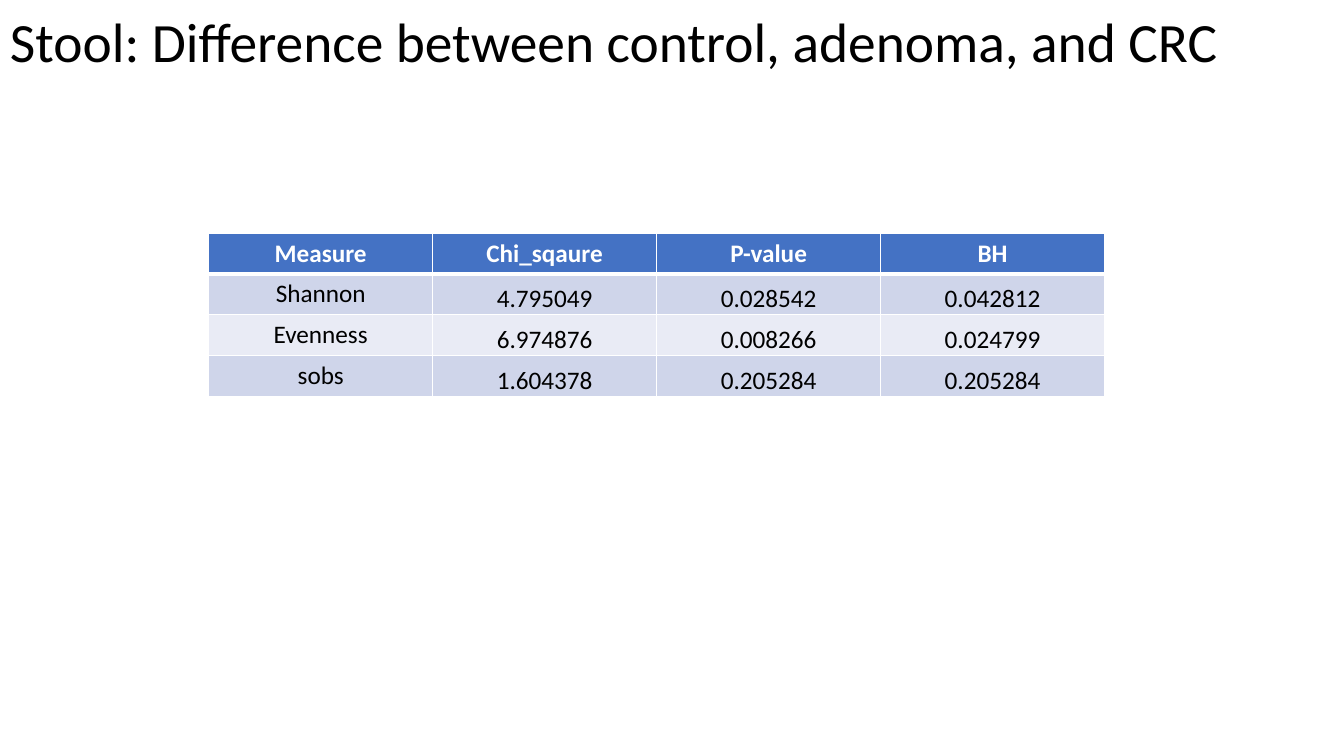
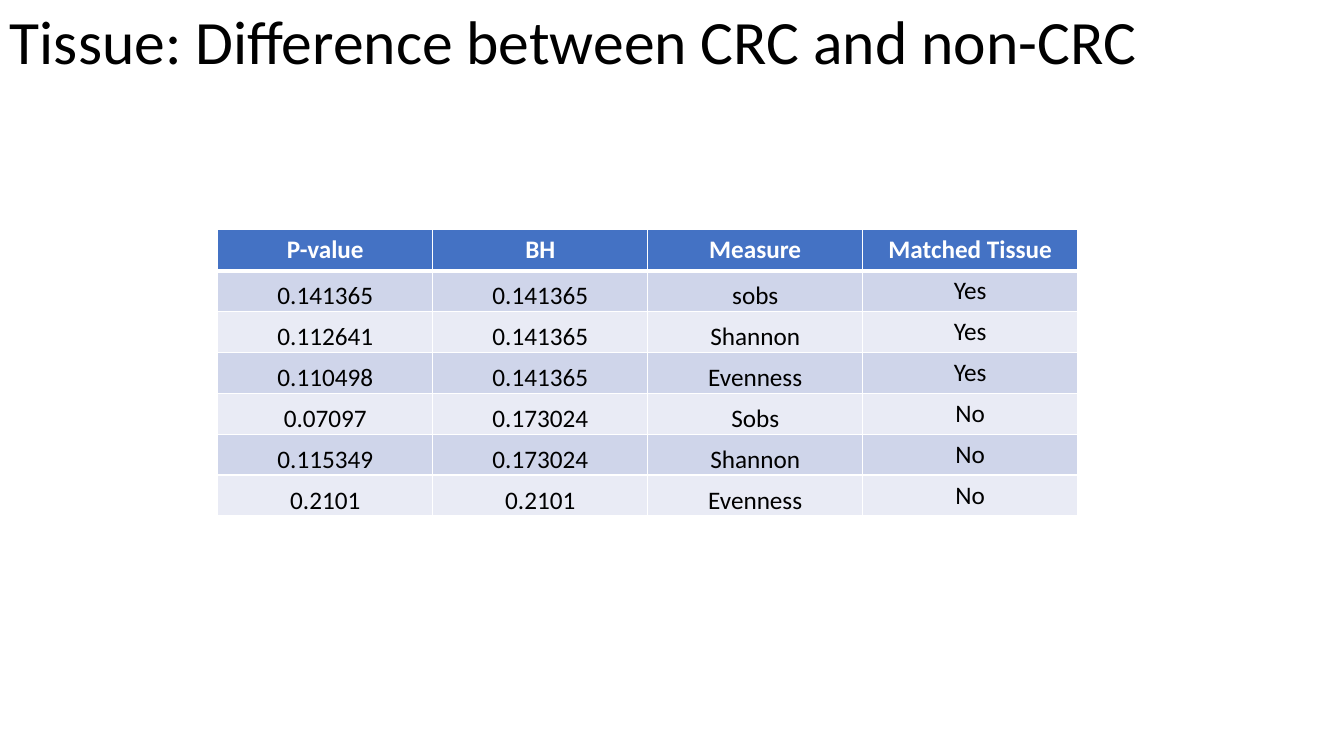
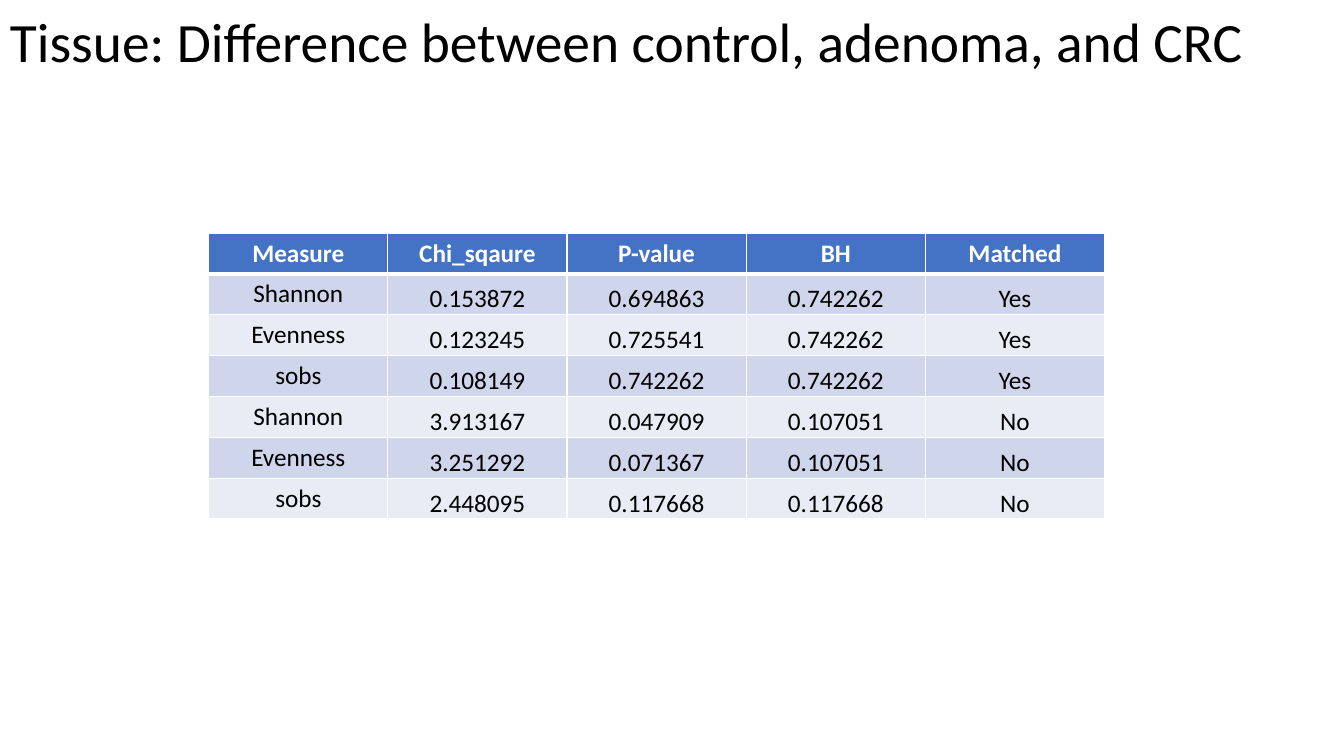
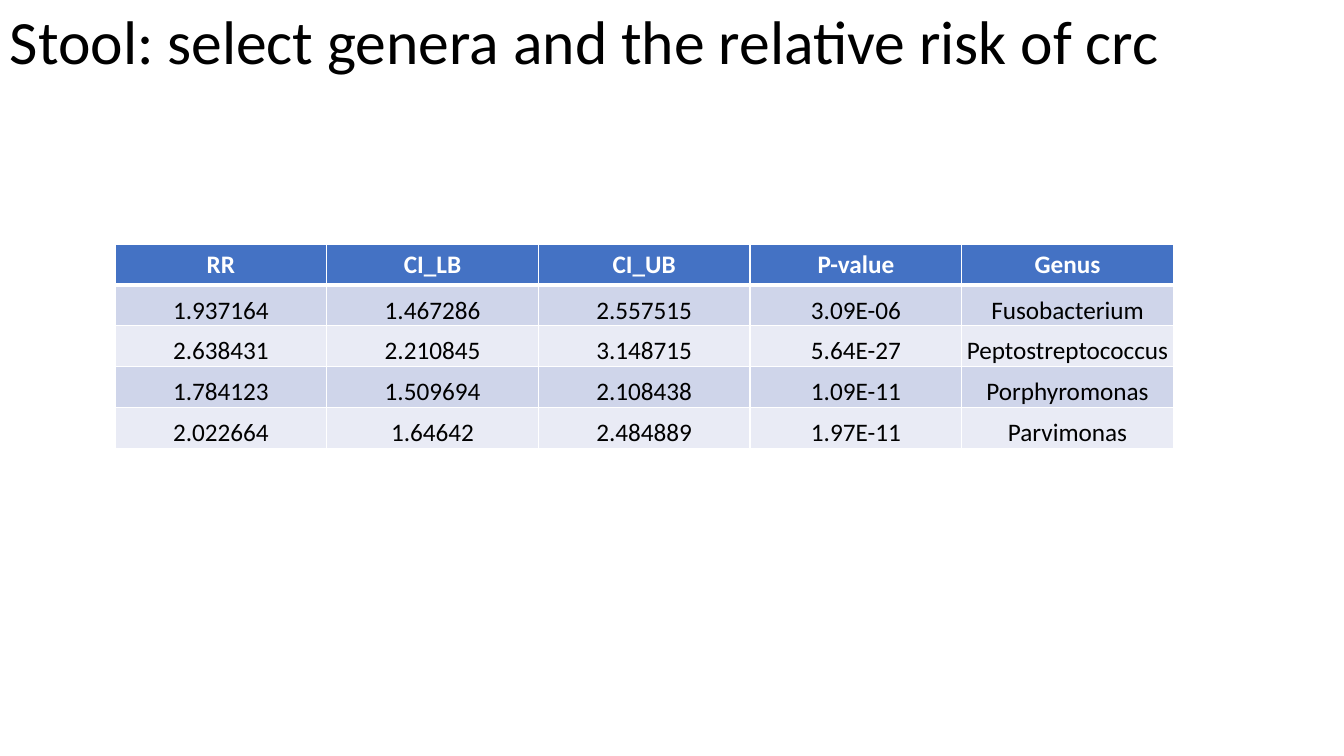
import pptx
import pptx.dml.color
import pptx.enum.text
import pptx.oxml
import pptx.oxml.ns
import pptx.util

Cm = pptx.util.Cm
Pt = pptx.util.Pt
RGBColor = pptx.dml.color.RGBColor
ANCHOR = pptx.enum.text.MSO_ANCHOR
ALIGN = pptx.enum.text.PP_ALIGN

BLACK = RGBColor(0x00, 0x00, 0x00)
WHITE = RGBColor(0xFF, 0xFF, 0xFF)
HEADER_BLUE = RGBColor(0x44, 0x72, 0xC4)
BANDS = (RGBColor(0xCF, 0xD5, 0xEA), RGBColor(0xE9, 0xEB, 0xF5))

FONT = "Calibri"
PAGE_WIDTH, PAGE_HEIGHT = Cm(33.87), Cm(19.05)
TITLE_BOX = (0, 0, PAGE_WIDTH, Cm(2.26))
ROW_HEIGHT = Cm(1.03)
CELL_SIZE = 18
THIN, THICK = 1, 3

SLIDES = [
    {
        "title": "Stool: Difference between control, adenoma, and CRC",
        "title_size": 39.6,
        "table_box": (Cm(5.26), Cm(5.87), Cm(22.58)),
        "top_column": 0,
        "rows": [
            ("Measure", "Chi_sqaure", "P-value", "BH"),
            ("Shannon", "4.795049", "0.028542", "0.042812"),
            ("Evenness", "6.974876", "0.008266", "0.024799"),
            ("sobs", "1.604378", "0.205284", "0.205284"),
        ],
    },
    {
        "title": "Tissue: Difference between CRC and non-CRC",
        "title_size": 44,
        "table_box": (Cm(5.49), Cm(5.79), Cm(21.67)),
        "top_column": 3,
        "rows": [
            ("P-value", "BH", "Measure", "Matched Tissue"),
            ("0.141365", "0.141365", "sobs", "Yes"),
            ("0.112641", "0.141365", "Shannon", "Yes"),
            ("0.110498", "0.141365", "Evenness", "Yes"),
            ("0.07097", "0.173024", "Sobs", "No"),
            ("0.115349", "0.173024", "Shannon", "No"),
            ("0.2101", "0.2101", "Evenness", "No"),
        ],
    },
    {
        "title": "Tissue: Difference between control, adenoma, and CRC",
        "title_size": 39.6,
        "table_box": (Cm(5.26), Cm(5.87), Cm(22.58)),
        "top_column": 0,
        "rows": [
            ("Measure", "Chi_sqaure", "P-value", "BH", "Matched"),
            ("Shannon", "0.153872", "0.694863", "0.742262", "Yes"),
            ("Evenness", "0.123245", "0.725541", "0.742262", "Yes"),
            ("sobs", "0.108149", "0.742262", "0.742262", "Yes"),
            ("Shannon", "3.913167", "0.047909", "0.107051", "No"),
            ("Evenness", "3.251292", "0.071367", "0.107051", "No"),
            ("sobs", "2.448095", "0.117668", "0.117668", "No"),
        ],
    },
    {
        "title": "Stool: select genera and the relative risk of crc",
        "title_size": 44,
        "table_box": (Cm(2.9), Cm(6.15), Cm(26.67)),
        "top_column": None,
        "rows": [
            ("RR", "CI_LB", "CI_UB", "P-value", "Genus"),
            ("1.937164", "1.467286", "2.557515", "3.09E-06", "Fusobacterium"),
            ("2.638431", "2.210845", "3.148715", "5.64E-27", "Peptostreptococcus"),
            ("1.784123", "1.509694", "2.108438", "1.09E-11", "Porphyromonas"),
            ("2.022664", "1.64642", "2.484889", "1.97E-11", "Parvimonas"),
        ],
    },
]


def style_text(paragraph, size, color, bold=False):
    for span in paragraph.runs:
        span.font.name = FONT
        span.font.size = Pt(size)
        span.font.bold = bold
        span.font.color.rgb = color


def add_title(page, box, text, size):
    title = page.shapes.add_textbox(*box)
    frame = title.text_frame
    frame.word_wrap = True
    frame.vertical_anchor = ANCHOR.MIDDLE
    frame.text = text
    para = frame.paragraphs[0]
    para.line_spacing = 0.9
    style_text(para, size, BLACK)


def set_borders(cell, top, bottom):
    properties = cell._tc.get_or_add_tcPr()
    for side, width in (("L", THIN), ("R", THIN), ("T", top), ("B", bottom)):
        properties.append(pptx.oxml.parse_xml(
            f'<a:ln{side} {pptx.oxml.ns.nsdecls("a")} w="{Pt(width)}">'
            f'<a:solidFill><a:srgbClr val="{WHITE}"/></a:solidFill></a:ln{side}>'
        ))


def fill_cell(cell, text, row, at_bottom):
    is_header = row == 0
    set_borders(cell, THICK if row == 1 else THIN, THICK if is_header else THIN)
    cell.fill.solid()
    cell.fill.fore_color.rgb = HEADER_BLUE if is_header else BANDS[(row - 1) % 2]
    if at_bottom:
        cell.vertical_anchor = ANCHOR.BOTTOM
        cell.margin_left = cell.margin_right = cell.margin_top = Cm(0.02)
        cell.margin_bottom = 0
    cell.text_frame.text = text
    para = cell.text_frame.paragraphs[0]
    para.alignment = ALIGN.CENTER
    style_text(para, CELL_SIZE, WHITE if is_header else BLACK, is_header)


def add_results_table(page, box, rows, top_column):
    left, top, width = box
    column_count = len(rows[0])
    frame = page.shapes.add_table(
        len(rows), column_count, left, top, width, ROW_HEIGHT * len(rows))
    table = frame.table
    for column in table.columns:
        column.width = width // column_count
    for row, values in enumerate(rows):
        table.rows[row].height = ROW_HEIGHT
        for column, text in enumerate(values):
            fill_cell(table.cell(row, column), text, row,
                      row > 0 and column != top_column)


def main():
    deck = pptx.Presentation()
    deck.slide_width, deck.slide_height = PAGE_WIDTH, PAGE_HEIGHT
    for content in SLIDES:
        page = deck.slides.add_slide(deck.slide_layouts[6])
        add_title(page, TITLE_BOX, content["title"], content["title_size"])
        add_results_table(page, content["table_box"], content["rows"],
                          content["top_column"])
    deck.save("out.pptx")


if __name__ == "__main__":
    main()
